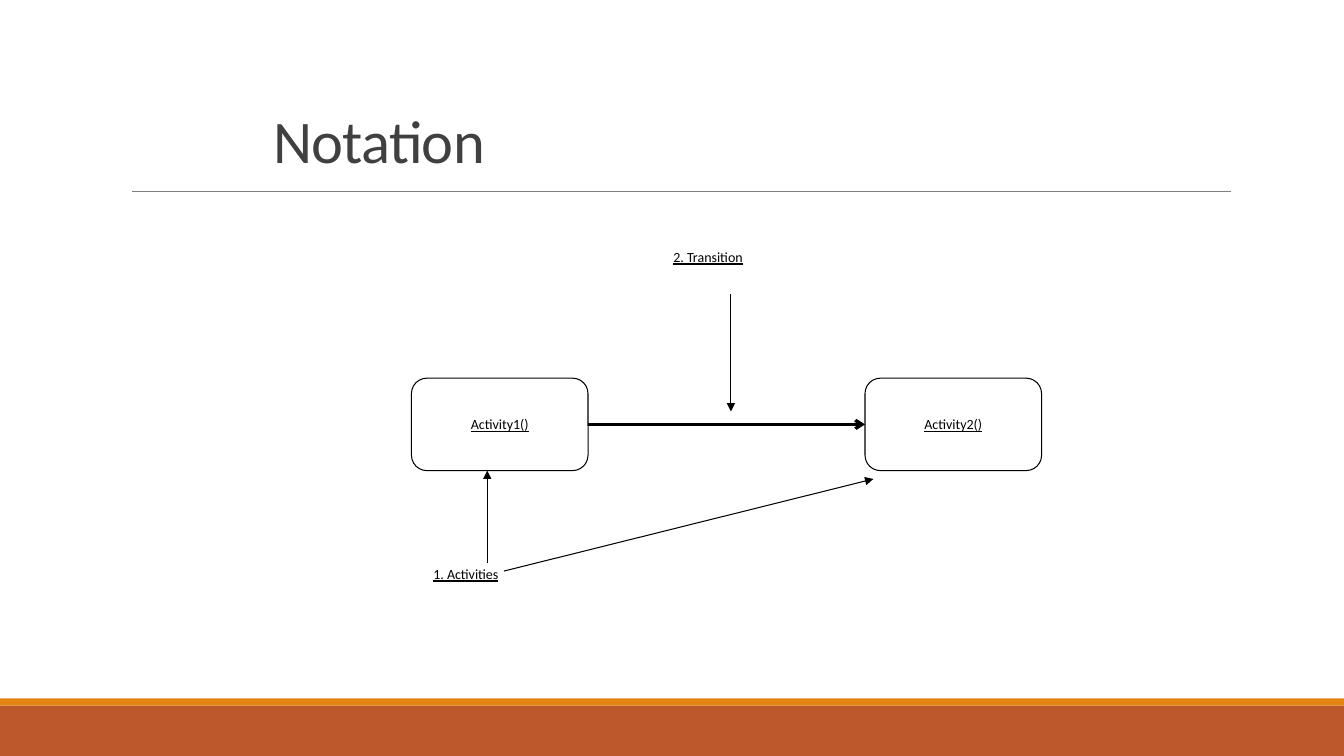
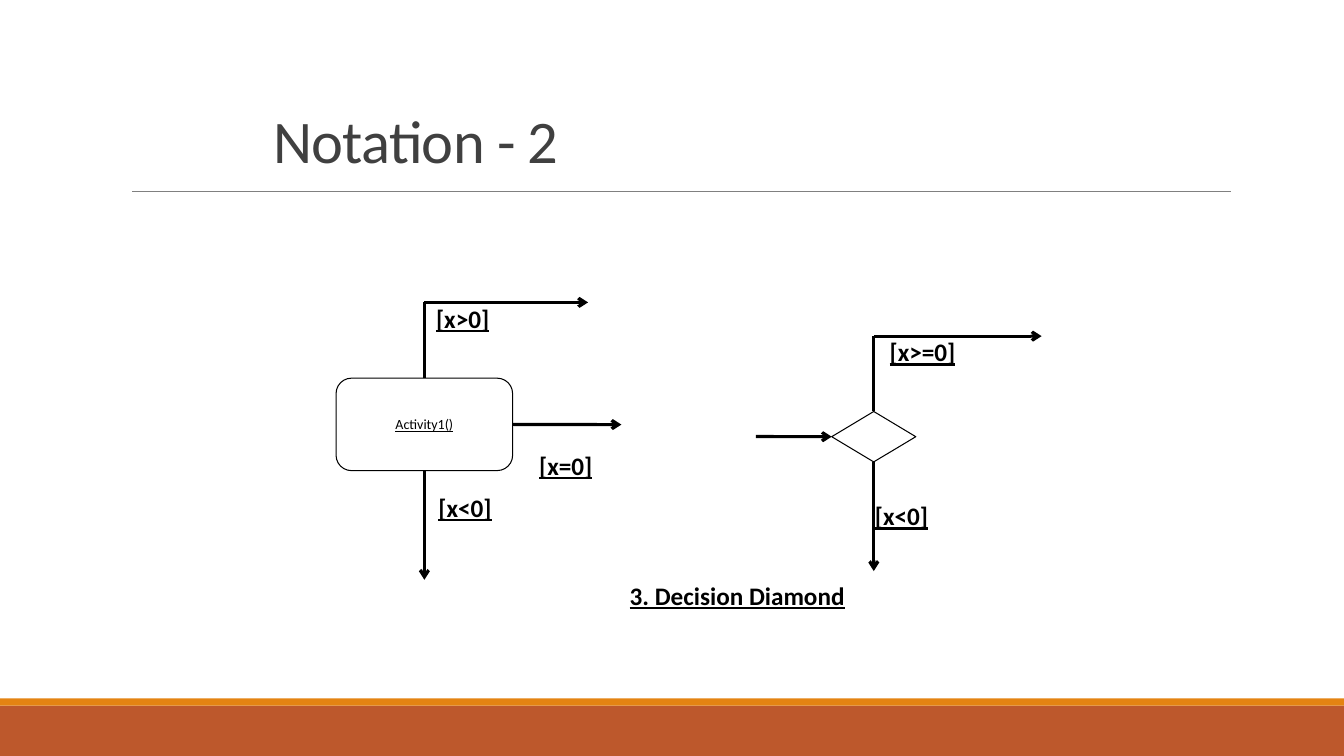
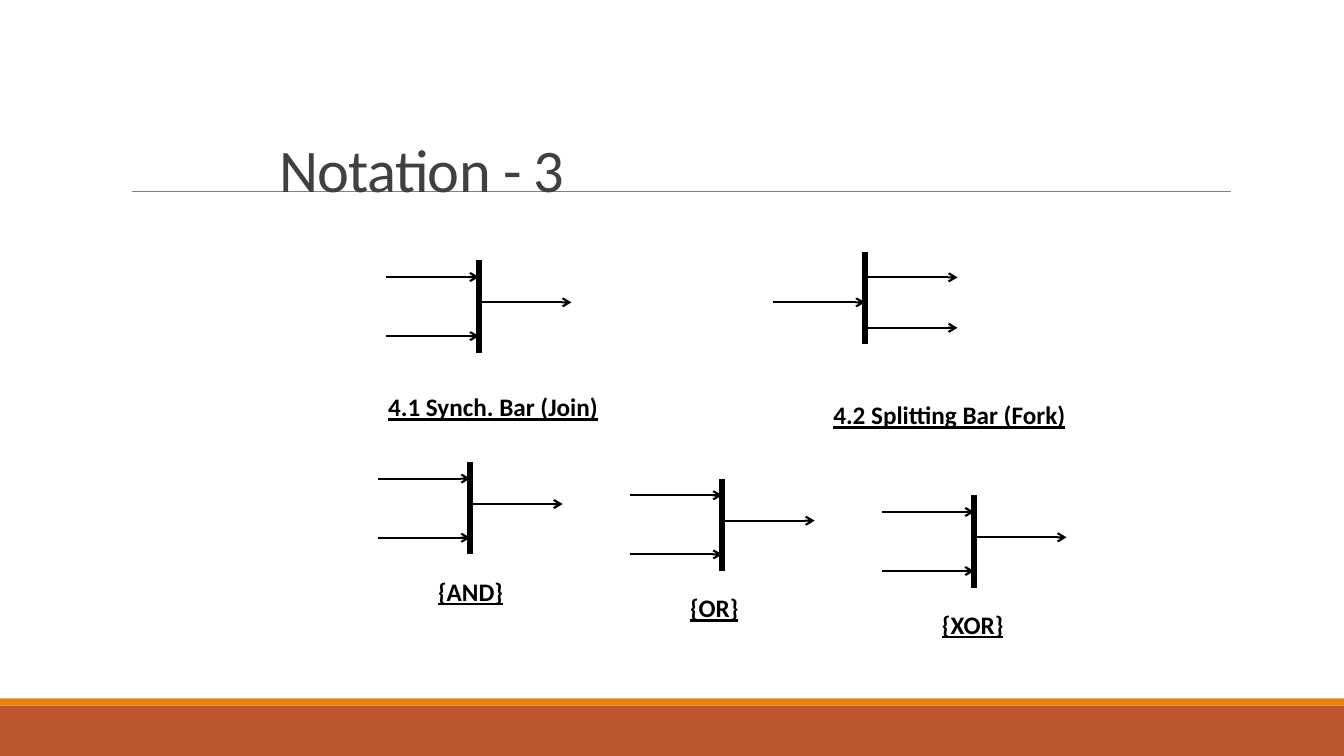
from lxml import etree
from pptx import Presentation
from pptx.dml.color import RGBColor
from pptx.enum.shapes import MSO_CONNECTOR, MSO_SHAPE
from pptx.enum.text import MSO_ANCHOR, MSO_AUTO_SIZE, PP_ALIGN
from pptx.oxml.ns import qn
from pptx.util import Cm, Pt

STRAIGHT = MSO_CONNECTOR.STRAIGHT
RECTANGLE = MSO_SHAPE.RECTANGLE
ROUNDED = MSO_SHAPE.ROUNDED_RECTANGLE
DIAMOND = MSO_SHAPE.DIAMOND
MIDDLE, BOTTOM_ANCHOR = MSO_ANCHOR.MIDDLE, MSO_ANCHOR.BOTTOM
LEFT_ALIGN, CENTER = PP_ALIGN.LEFT, PP_ALIGN.CENTER
FIXED_SIZE = MSO_AUTO_SIZE.NONE

BLACK = RGBColor(0x00, 0x00, 0x00)
WHITE = RGBColor(0xFF, 0xFF, 0xFF)
TITLE_GRAY = RGBColor(0x40, 0x40, 0x40)
RULE_GRAY = RGBColor(0x80, 0x80, 0x80)
RUST = RGBColor(0xBD, 0x58, 0x2C)
ORANGE = RGBColor(0xE4, 0x83, 0x12)

FONT = "Calibri"
PAGE_WIDTH, PAGE_HEIGHT = 33.87, 19.05
TOP, LEFT, BOTTOM, RIGHT = range(4)  # connection sites
THIN, MEDIUM, THICK, BAR = 0.75, 1.5, 2.25, 4.5  # line widths in points
ACTIVITY_WIDTH, ACTIVITY_HEIGHT = 4.45, 2.33
FLOW_LENGTH = 2.33


class NotationDeck:
    """Holds the deck, its style and the current page; lengths are in cm."""

    def __init__(self):
        self.deck = Presentation()
        self.deck.slide_width = Cm(PAGE_WIDTH)
        self.deck.slide_height = Cm(PAGE_HEIGHT)
        self.layout = self.deck.slide_layouts[5]
        self.page = None

    def new_page(self, title, left=6.63, top=2.57, width=17.63, height=1.98):
        self.page = self.deck.slides.add_slide(self.layout)
        box = self.page.shapes.title
        box.left, box.top = Cm(left), Cm(top)
        box.width, box.height = Cm(width), Cm(height)
        frame = box.text_frame
        frame.text = title
        frame.auto_size = FIXED_SIZE
        frame.vertical_anchor = BOTTOM_ANCHOR
        para = frame.paragraphs[0]
        para.alignment = LEFT_ALIGN
        para.line_spacing = 0.85
        self.style_text(frame, 43.2, TITLE_GRAY)
        for properties in box.element.iter(qn("a:rPr")):
            properties.set("spc", "-50")

    def add_frame_to_layout(self):
        """Draw the bands and title rule, then move them to the layout."""
        parts = [
            self.shape(RECTANGLE, 0, 17.78, PAGE_WIDTH, 1.27, RUST),
            self.shape(RECTANGLE, 0, 17.6, PAGE_WIDTH, 0.18, ORANGE),
            self.line((3.33, 4.83), (31.01, 4.83), 0.5, color=RULE_GRAY),
        ]
        for number, part in enumerate(parts, start=101):
            for properties in part.element.iter(qn("p:cNvPr")):
                properties.set("id", str(number))
            self.layout.shapes.element.append(part.element)

    def style_text(self, frame, size, color=BLACK, bold=False, underline=False):
        for para in frame.paragraphs:
            for span in para.runs:
                font = span.font
                font.name, font.size = FONT, Pt(size)
                font.bold, font.underline = bold, underline
                font.color.rgb = color

    def shape(self, kind, left, top, width, height, fill, outline=None):
        box = self.page.shapes.add_shape(
            kind, Cm(left), Cm(top), Cm(width), Cm(height))
        box.shadow.inherit = False
        box.fill.solid()
        box.fill.fore_color.rgb = fill
        if outline is None:
            box.line.fill.background()
        else:
            box.line.color.rgb = outline
            box.line.width = Pt(THIN)
        return box

    def activity(self, left, top, name):
        box = self.shape(ROUNDED, left, top, ACTIVITY_WIDTH, ACTIVITY_HEIGHT,
                         WHITE, BLACK)
        frame = box.text_frame
        frame.text = name
        frame.word_wrap = False
        frame.vertical_anchor = MIDDLE
        frame.paragraphs[0].alignment = CENTER
        self.style_text(frame, 10, underline=True)
        return box

    def label(self, left, top, width, text, size=18, bold=True):
        height = 1.02 if size == 18 else 0.69
        box = self.page.shapes.add_textbox(
            Cm(left), Cm(top), Cm(width), Cm(height))
        frame = box.text_frame
        frame.text = text
        frame.word_wrap = False
        self.style_text(frame, size, bold=bold, underline=True)

    def line(self, start, end, width, head=None, color=BLACK,
             source=None, target=None):
        """Draw a line; source and target are (shape, site) pairs to join."""
        connector = self.page.shapes.add_connector(
            STRAIGHT, *(Cm(value) for value in (*start, *end)))
        if source:
            connector.begin_connect(*source)
        if target:
            connector.end_connect(*target)
        connector.line.color.rgb = color
        connector.line.width = Pt(width)
        properties = connector.element.spPr
        if head:
            outline = properties.find(qn("a:ln"))
            etree.SubElement(outline, qn("a:tailEnd"), type=head)
        etree.SubElement(properties, qn("a:effectLst"))
        return connector

    def branches(self, box, corner_y, end_x, end_y):
        """Leave a shape upwards round a corner, and straight down."""
        center = (box.left + box.width / 2) / Cm(1)
        top, bottom = box.top / Cm(1), (box.top + box.height) / Cm(1)
        corner = (center, corner_y)
        self.line((center, top), corner, THICK, source=(box, TOP))
        self.line(corner, (end_x, corner_y), THICK, "arrow")
        self.line((center, bottom), (center, end_y), THICK, "arrow",
                  source=(box, BOTTOM))

    def bar(self, x, top, inputs, outputs):
        """Draw a bar with flows at the given distances below its top."""
        self.line((x, top), (x, top + FLOW_LENGTH), BAR)
        flows = [(x - FLOW_LENGTH, offset) for offset in inputs]
        flows += [(x, offset) for offset in outputs]
        for start, offset in flows:
            y = top + offset
            self.line((start, y), (start + FLOW_LENGTH, y), MEDIUM, "arrow")

    def join(self, x, top):
        self.bar(x, top, inputs=(0.42, 1.91), outputs=(1.06,))


def activities_page(deck):
    deck.new_page("Notation")
    deck.add_frame_to_layout()
    first = deck.activity(10.37, 9.53, "Activity1()")
    second = deck.activity(21.8, 9.53, "Activity2()")
    deck.line((14.82, 10.7), (21.8, 10.7), THICK, "arrow",
              source=(first, RIGHT), target=(second, LEFT))
    # Captions and their pointers
    deck.label(10.67, 14.12, 2.31, "1. Activities", 10, bold=False)
    deck.label(16.72, 6.14, 2.46, "2. Transition", 10, bold=False)
    for start, end in (((12.28, 14.18), (12.28, 11.86)),
                       ((12.7, 14.39), (22.01, 12.07)),
                       ((18.42, 7.41), (18.42, 10.37))):
        deck.line(start, end, THIN, "triangle")


def decisions_page(deck):
    deck.new_page("Notation - 2")
    # Guarded exits of an activity
    box = deck.activity(8.47, 9.53, "Activity1()")
    deck.branches(box, 7.62, 14.82, 14.61)
    deck.line((12.92, 10.7), (15.66, 10.7), THICK, "arrow",
              source=(box, RIGHT))
    # Decision diamond
    diamond = deck.shape(DIAMOND, 20.96, 10.37, 2.12, 1.27, WHITE, BLACK)
    deck.branches(diamond, 8.47, 26.25, 14.39)
    deck.line((19.05, 11), (20.96, 11), THICK, "arrow",
              target=(diamond, LEFT))
    # Guards and caption
    for left, top, width, text in ((10.74, 7.52, 2.03, "[x>0]"),
                                   (13.34, 11.22, 2.03, "[x=0]"),
                                   (10.8, 12.28, 2.03, "[x<0]"),
                                   (22.17, 8.36, 2.41, "[x>=0]"),
                                   (21.8, 12.49, 2.03, "[x<0]"),
                                   (15.62, 14.5, 6.81, "3. Decision Diamond")):
        deck.label(left, top, width, text)


def bars_page(deck):
    deck.new_page("Notation - 3", 6.78, 3.38, 21.59, 1.91)
    # Join and fork
    deck.label(9.53, 9.74, 6.86, "4.1 Synch. Bar (Join)")
    deck.join(12.07, 6.56)
    deck.label(20.75, 9.95, 7.39, "4.2 Splitting Bar (Fork)")
    deck.bar(21.8, 6.35, inputs=(1.27,), outputs=(0.64, 1.91))
    # Join conditions, stepping down to the right
    conditions = (("{AND}", 2.39), ("{OR}", 1.96), ("{XOR}", 2.41))
    for index, (text, width) in enumerate(conditions):
        x, top = 11.85 + 6.35 * index, 11.64 + 0.42 * index
        deck.label(x - 1.06, top + 2.75, width, text)
        deck.join(x, top)


def main():
    deck = NotationDeck()
    activities_page(deck)
    decisions_page(deck)
    bars_page(deck)
    deck.deck.save("out.pptx")


if __name__ == "__main__":
    main()
